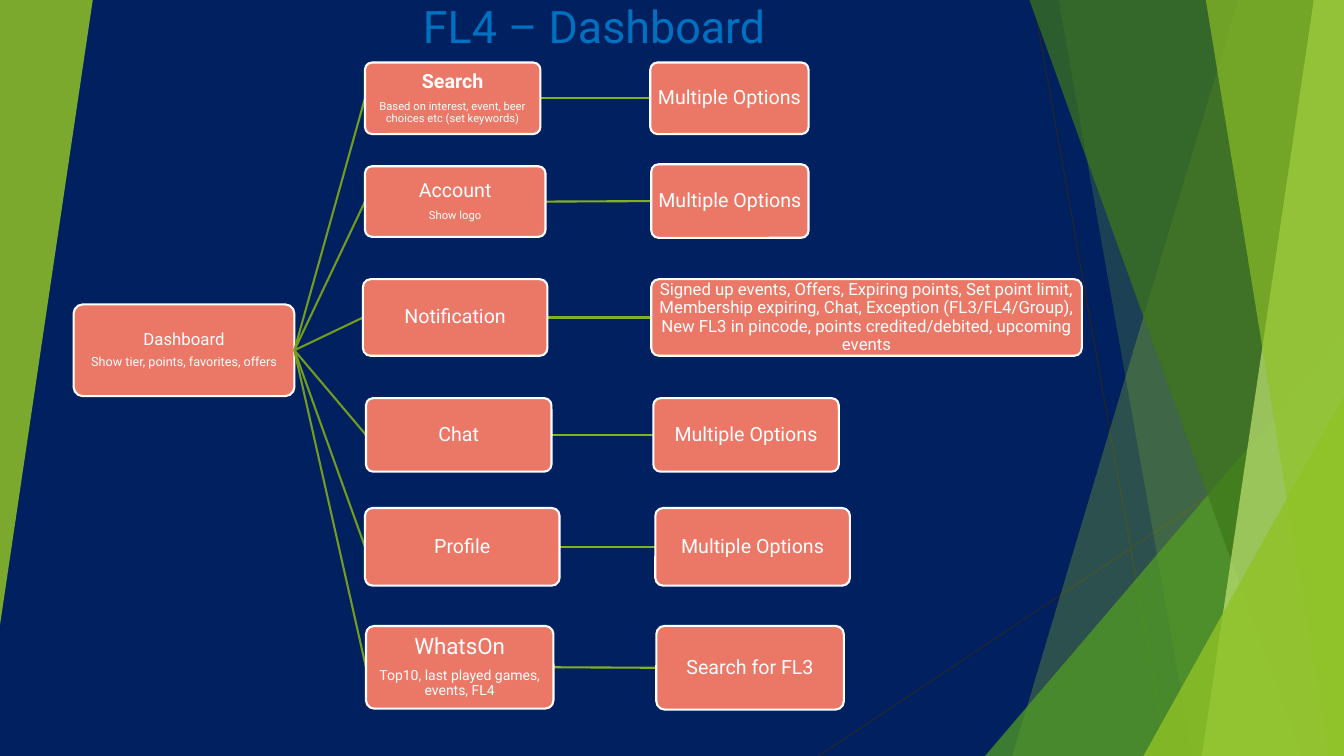
from lxml import etree
from pptx import Presentation
from pptx.dml.color import RGBColor
from pptx.enum.shapes import MSO_CONNECTOR, MSO_SHAPE
from pptx.enum.text import MSO_ANCHOR, MSO_AUTO_SIZE, PP_ALIGN
from pptx.oxml.ns import qn
from pptx.util import Inches, Pt

STRAIGHT = MSO_CONNECTOR.STRAIGHT
ROUNDED = MSO_SHAPE.ROUNDED_RECTANGLE
MIDDLE, BOTTOM = MSO_ANCHOR.MIDDLE, MSO_ANCHOR.BOTTOM
CENTER = PP_ALIGN.CENTER
NO_AUTOFIT = MSO_AUTO_SIZE.NONE

NAVY = RGBColor(0x00, 0x20, 0x60)
TITLE_BLUE = RGBColor(0x00, 0x70, 0xC0)
CORAL = RGBColor(0xEB, 0x77, 0x66)
WHITE = RGBColor(0xFF, 0xFF, 0xFF)
BRANCH_GREEN = RGBColor(0x73, 0x9B, 0x1E)
LINK_GREEN = RGBColor(0x83, 0xB0, 0x22)
LIME = RGBColor(0x90, 0xC2, 0x26)
GREEN = RGBColor(0x54, 0xA0, 0x21)
DARK_GREEN = RGBColor(0x3F, 0x78, 0x19)
PALE_LIME = RGBColor(0xC0, 0xE4, 0x74)
CHARCOAL = RGBColor(0x26, 0x26, 0x26)

FONT = "Roboto"
WIDTH, HEIGHT = 13.33, 7.5

# Corner points, colour and opacity in percent
FACETS = [
    ([(12.28, 0), (WIDTH, 0), (WIDTH, HEIGHT), (10.04, HEIGHT)], LIME, 30),
    ([(10.5, 0), (WIDTH, 0), (WIDTH, HEIGHT), (11.83, HEIGHT)], LIME, 20),
    ([(WIDTH, 3.33), (WIDTH, HEIGHT), (9.77, HEIGHT)], GREEN, 72),
    ([(10.21, 0), (WIDTH, 0), (WIDTH, HEIGHT), (12.91, HEIGHT)], DARK_GREEN, 70),
    ([(13.03, 0), (WIDTH, 0), (WIDTH, HEIGHT), (11.92, HEIGHT)], PALE_LIME, 70),
    ([(11.96, 0), (WIDTH, 0), (WIDTH, HEIGHT), (13.18, HEIGHT)], LIME, 65),
    ([(WIDTH, 3.93), (WIDTH, HEIGHT), (11.34, HEIGHT)], LIME, 80),
    ([(0, 0), (0.92, 0), (0, 6.2)], LIME, 85),
]

# Boxes are left, top, width, height; paragraphs are text, size, bold
ROOT = ((0.73, 3.02, 2.19, 0.91),
        [("Dashboard", 12, False),
         ("Show tier, points, favorites, offers", 9, False)])
OPTIONS = [("Multiple Options", 14, False)]
BRANCHES = [
    ((3.62, 0.62, 1.74, 0.71),
     [("Search", 14, True),
      ("Based on interest, event, beer choices etc (set keywords)", 8, False)],
     (6.45, 0.62, 1.57, 0.71), OPTIONS),
    ((3.62, 1.65, 1.79, 0.7),
     [("Account", 14, False), ("Show logo", 8, False)],
     (6.46, 1.63, 1.56, 0.73), OPTIONS),
    ((3.6, 2.77, 1.83, 0.76), [("Notification", 14, False)],
     (6.46, 2.77, 4.27, 0.76),
     [("Signed up events, Offers, Expiring points, Set point limit, "
       "Membership expiring, Chat, Exception (FL3/FL4/Group), New FL3 in "
       "pincode, points credited/debited, upcoming events", 12, False)]),
    ((3.63, 3.95, 1.84, 0.73), [("Chat", 14, False)],
     (6.48, 3.95, 1.84, 0.73), OPTIONS),
    ((3.62, 5.04, 1.93, 0.77), [("Profile", 14, False)],
     (6.5, 5.04, 1.93, 0.77), OPTIONS),
    ((3.63, 6.21, 1.86, 0.82),
     [("WhatsOn", 16, False),
      ("Top10, last played games, events, FL4", 10, False)],
     (6.51, 6.21, 1.86, 0.83), [("Search for FL3", 14, False)]),
]


def add_line(s, start, end, color, weight):
    line = s.shapes.add_connector(STRAIGHT, *map(Inches, start + end))
    line.line.color.rgb = color
    line.line.width = Pt(weight)
    etree.SubElement(line._element.spPr, qn("a:effectLst"))


def add_facet(s, points, color, opacity):
    corners = [(Inches(x), Inches(y)) for x, y in points]
    builder = s.shapes.build_freeform(*corners[0])
    builder.add_line_segments(corners[1:], close=True)
    sp = builder.convert_to_shape()
    sp.shadow.inherit = False
    sp.line.fill.background()
    sp.fill.solid()
    sp.fill.fore_color.rgb = color
    rgb = sp._element.spPr.find(qn("a:solidFill"))[0]
    etree.SubElement(rgb, qn("a:alpha"), val=str(opacity * 1000))


def add_backdrop(s):
    s.background.fill.solid()
    s.background.fill.fore_color.rgb = NAVY
    add_line(s, (10.25, 0), (11.58, HEIGHT), CHARCOAL, 0.75)
    add_line(s, (WIDTH, 4.03), (8.12, HEIGHT), CHARCOAL, 0.75)
    for points, color, opacity in FACETS:
        add_facet(s, points, color, opacity)


def add_title(s, box, text):
    title = s.shapes.title
    title.left, title.top, title.width, title.height = map(Inches, box)
    tf = title.text_frame
    tf.text = text
    tf.auto_size = NO_AUTOFIT
    tf.vertical_anchor = BOTTOM
    p = tf.paragraphs[0]
    p.alignment = CENTER
    p.font.name, p.font.size = FONT, Pt(32)
    p.font.color.rgb = TITLE_BLUE


def add_node(s, box, paragraphs):
    sp = s.shapes.add_shape(ROUNDED, *map(Inches, box))
    sp.adjustments[0] = 0.1
    sp.shadow.inherit = False
    sp.fill.solid()
    sp.fill.fore_color.rgb = CORAL
    sp.line.color.rgb = WHITE
    sp.line.width = Pt(1.5)
    tf = sp.text_frame
    tf.word_wrap = True
    tf.vertical_anchor = MIDDLE
    tf.margin_left = tf.margin_right = Inches(0.01)
    tf.margin_top = tf.margin_bottom = Inches(0.01)
    for i, (text, size, bold) in enumerate(paragraphs):
        p = tf.add_paragraph() if i else tf.paragraphs[0]
        p.text = text
        p.alignment = CENTER
        p.line_spacing = 0.9
        if i < len(paragraphs) - 1:
            p.space_after = Pt(0.4 * size)
        p.font.name, p.font.size, p.font.bold = FONT, Pt(size), bold
        p.font.color.rgb = WHITE


def left_middle(box):
    left, top, _, height = box
    return left, top + height / 2


def right_middle(box):
    left, top, width, height = box
    return left + width, top + height / 2


def add_tree(s, root, branches):
    root_box, root_text = root
    add_node(s, root_box, root_text)
    for box, text, detail_box, detail_text in branches:
        add_line(s, right_middle(root_box), left_middle(box), BRANCH_GREEN, 1.5)
        add_line(s, right_middle(box), left_middle(detail_box), LINK_GREEN, 1.5)
        add_node(s, box, text)
        add_node(s, detail_box, detail_text)


def main():
    prs = Presentation()
    prs.slide_width, prs.slide_height = Inches(WIDTH), Inches(HEIGHT)
    s = prs.slides.add_slide(prs.slide_layouts[5])
    add_backdrop(s)
    add_tree(s, ROOT, BRANCHES)
    add_title(s, (1.65, 0.04, 8.49, 0.53), "FL4 – Dashboard")
    prs.save("out.pptx")


if __name__ == "__main__":
    main()
